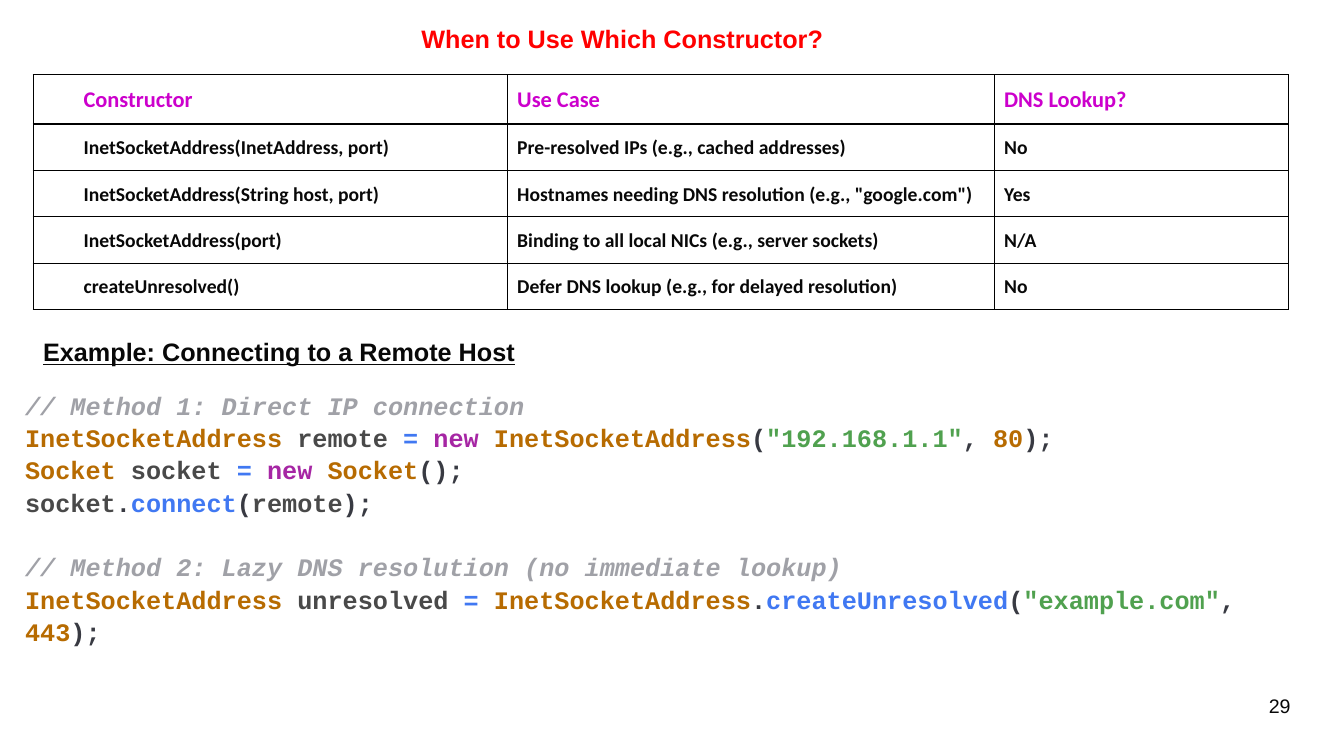
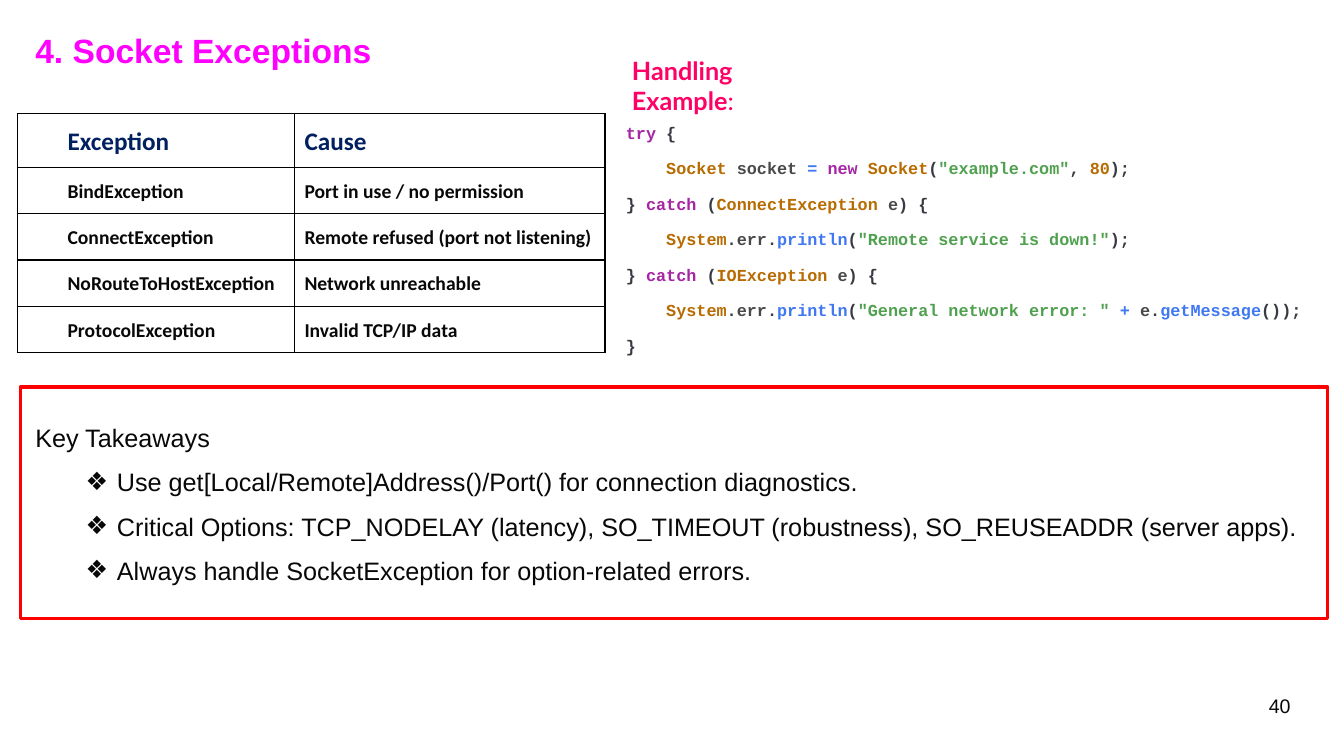
from lxml import etree
from pptx import Presentation
from pptx.dml.color import RGBColor
from pptx.enum.shapes import MSO_SHAPE
from pptx.enum.text import MSO_ANCHOR, MSO_AUTO_SIZE, PP_ALIGN
from pptx.oxml.ns import qn
from pptx.util import Inches, Pt

LEFT, RIGHT = PP_ALIGN.LEFT, PP_ALIGN.RIGHT
TOP, MIDDLE = MSO_ANCHOR.TOP, MSO_ANCHOR.MIDDLE
RECT = MSO_SHAPE.RECTANGLE
NO_FIT = MSO_AUTO_SIZE.NONE

COLORS = {
    "ink": "080808", "white": "FFFFFF", "border": "000000",
    "red": "FF0000", "magenta": "FF00FF", "purple": "CC00CC",
    "navy": "002060", "pink": "FF0066",
    # code tokens
    "note": "A0A1A7", "type": "B76B01", "name": "494949", "call": "4078F2",
    "key": "A626A4", "mark": "383A42", "text": "50A14F",
}
SANS, TABLE, MONO, HEAD = "Arial", "Calibri", "Courier New", "Lato"
LINE = 1.07

# Content: constructors
USES = [
    ("Constructor", "Use Case", "DNS Lookup?"),
    ("InetSocketAddress(InetAddress, port)",
     "Pre-resolved IPs (e.g., cached addresses)", "No"),
    ("InetSocketAddress(String host, port)",
     'Hostnames needing DNS resolution (e.g., "google.com")', "Yes"),
    ("InetSocketAddress(port)",
     "Binding to all local NICs (e.g., server sockets)", "N/A"),
    ("createUnresolved()",
     "Defer DNS lookup (e.g., for delayed resolution)", "No"),
]
DIRECT = [
    [("note", "// Method 1: Direct IP connection")],
    [("type", "InetSocketAddress"), ("name", " remote "), ("call", "= "),
     ("key", "new "), ("type", "InetSocketAddress"), ("mark", "("),
     ("text", '"192.168.1.1"'), ("mark", ", "), ("type", "80"),
     ("mark", ");")],
    [("type", "Socket "), ("name", "socket "), ("call", "= "),
     ("key", "new "), ("type", "Socket"), ("mark", "();")],
    [("name", "socket"), ("mark", "."), ("call", "connect"), ("mark", "("),
     ("name", "remote"), ("mark", ");")],
]
LAZY = [
    [("note", "// Method 2: Lazy DNS resolution (no immediate lookup)")],
    [("type", "InetSocketAddress"), ("name", " unresolved "),
     ("call", "= "), ("type", "InetSocketAddress"), ("mark", "."),
     ("call", "createUnresolved"), ("mark", "("),
     ("text", '"example.com"'), ("mark", ", "), ("type", "443"),
     ("mark", ");")],
]

# Content: exceptions
CAUSES = [
    ("Exception", "Cause"),
    ("BindException", "Port in use / no permission"),
    ("ConnectException", "Remote refused (port not listening)"),
    ("NoRouteToHostException", "Network unreachable"),
    ("ProtocolException", "Invalid TCP/IP data"),
]
PRINT = [("name", "    "), ("type", "System"), ("mark", "."),
         ("name", "err"), ("mark", "."), ("call", "println"), ("mark", "(")]


def catch(kind):
    return [("mark", "} "), ("key", "catch "), ("mark", "("),
            ("type", kind), ("name", " e"), ("mark", ") {")]


HANDLE = [
    [("key", "try "), ("mark", "{")],
    [("name", "    "), ("type", "Socket "), ("name", "socket "),
     ("call", "= "), ("key", "new "), ("type", "Socket"), ("mark", "("),
     ("text", '"example.com"'), ("mark", ", "), ("type", "80"),
     ("mark", ");")],
    catch("ConnectException"),
    PRINT + [("text", '"Remote service is down!"'), ("mark", ");")],
    catch("IOException"),
    PRINT + [("text", '"General network error: " '), ("call", "+ "),
             ("name", "e"), ("mark", "."), ("call", "getMessage"),
             ("mark", "());")],
    [("mark", "}")],
]
LESSONS = [
    "Key Takeaways",
    "Use get[Local/Remote]Address()/Port() for connection diagnostics.",
    "Critical Options: TCP_NODELAY (latency), SO_TIMEOUT (robustness), "
    "SO_REUSEADDR (server apps).",
    "Always handle SocketException for option-related errors.",
]


# Shared helpers
def rgb(name):
    return RGBColor.from_string(COLORS[name])


def add_run(para, text, size, color="ink", font=SANS, bold=False):
    run = para.add_run()
    run.text = text
    run.font.size, run.font.name, run.font.bold = Pt(size), font, bold
    run.font.color.rgb = rgb(color)
    return run


def place(shape, box):
    shape.left, shape.top, shape.width, shape.height = map(Inches, box)
    frame = shape.text_frame
    frame.word_wrap = True
    frame.auto_size = NO_FIT
    frame.vertical_anchor = TOP
    return frame


def add_box(slide, box):
    return place(slide.shapes.add_textbox(0, 0, 0, 0), box)


def next_para(frame, index):
    return frame.add_paragraph() if index else frame.paragraphs[0]


def add_slide(deck, layout, title, box, size, color, number):
    slide = deck.slides.add_slide(deck.slide_layouts[layout])
    para = place(slide.shapes.title, box).paragraphs[0]
    para.alignment = LEFT
    add_run(para, title, size, color, bold=True)
    para = add_box(slide, (9.56, 6.83, 3.34, 0.52)).paragraphs[0]
    para.alignment = RIGHT
    add_run(para, number, 14)
    return slide


def add_border(cell):
    props = cell._tc.get_or_add_tcPr()
    for index, side in enumerate(("a:lnL", "a:lnR", "a:lnT", "a:lnB")):
        line = etree.Element(qn(side), w=str(Pt(1)))
        fill = etree.SubElement(line, qn("a:solidFill"))
        etree.SubElement(fill, qn("a:srgbClr"), val=COLORS["border"])
        props.insert(index, line)


def add_grid(slide, rows, left, top, widths, head, size, color):
    heights = [head] + [0.46] * (len(rows) - 1)
    area = map(Inches, (left, top, sum(widths), sum(heights)))
    table = slide.shapes.add_table(len(rows), len(widths), *area).table
    for col, width in zip(table.columns, widths):
        col.width = Inches(width)
    for r, row in enumerate(rows):
        table.rows[r].height = Inches(heights[r])
        for c, text in enumerate(row):
            cell = table.cell(r, c)
            cell.fill.solid()
            cell.fill.fore_color.rgb = rgb("white")
            cell.vertical_anchor = MIDDLE
            cell.margin_left = Inches(0.1 if c else 0.5)
            cell.margin_right = Inches(0.1)
            cell.margin_top = cell.margin_bottom = Inches(0.1)
            add_border(cell)
            para = cell.text_frame.paragraphs[0]
            para.line_spacing = LINE
            add_run(para, text, 14 if r else size,
                    "ink" if r else color, TABLE, True)


def add_code(slide, box, blocks, size, after=0):
    frame = add_box(slide, box)
    lines = [(b, i, line) for b, block in enumerate(blocks)
             for i, line in enumerate(block)]
    for index, (b, i, line) in enumerate(lines):
        para = next_para(frame, index)
        para.line_spacing = LINE
        para.space_after = Pt(after)
        if b and not i:
            para.space_before = Pt(23)
        for kind, text in line:
            run = add_run(para, text, size, kind, MONO, True)
            run.font.italic = kind == "note"


def add_list(frame, items):
    for index, text in enumerate(items):
        para = next_para(frame, index)
        props = para._p.get_or_add_pPr()
        props.set("marL", str(Inches(0.81 if index else 0)))
        props.set("indent", str(Inches(-0.31 if index else 0)))
        if index:
            para.level = 1
            etree.SubElement(props, qn("a:buChar"), char="❖")
        else:
            etree.SubElement(props, qn("a:buNone"))
        para.space_before, para.space_after = Pt(0), Pt(10)
        add_run(para, text, 18)


# Slides
def build_uses(deck):
    slide = add_slide(deck, 5, "When to Use Which Constructor?",
                      (4.08, 0.18, 4.4, 0.4), 18, "red", "29")
    add_grid(slide, USES, 0.33, 0.74, (4.7, 4.83, 2.92), 0.49, 16, "purple")
    add_code(slide, (0.15, 3.8, 13.08, 3.11), (DIRECT, LAZY), 18)
    para = add_box(slide, (0.33, 3.29, 5.2, 0.4)).paragraphs[0]
    run = add_run(para, "Example: Connecting to a Remote Host", 18, bold=True)
    run.font.underline = True


def build_errors(deck):
    slide = add_slide(deck, 1, "4. Socket Exceptions",
                      (0.25, 0.25, 3.8, 0.5), 24, "magenta", "40")
    add_grid(slide, CAUSES, 0.17, 1.13, (2.75, 3.08), 0.53, 18, "navy")
    para = add_box(slide, (6.17, 0.5, 1.4, 0.7)).paragraphs[0]
    add_run(para, "Handling Example", 18, "pink", HEAD, True)
    add_run(para, ":", 18, "pink", HEAD)
    add_code(slide, (6.11, 1.15, 7.06, 2.45), (HANDLE,), 12, 10)
    add_list(place(slide.placeholders[1], (0.25, 4.14, 12.92, 1.73)), LESSONS)
    area = map(Inches, (0.2, 3.84, 12.97, 2.3))
    frame = slide.shapes.add_shape(RECT, *area)
    frame.shadow.inherit = False
    frame.fill.background()
    frame.line.color.rgb = rgb("red")
    frame.line.width = Pt(2.25)


def main():
    deck = Presentation()
    deck.slide_width, deck.slide_height = Inches(13.33), Inches(7.5)
    build_uses(deck)
    build_errors(deck)
    deck.save("out.pptx")


if __name__ == "__main__":
    main()
